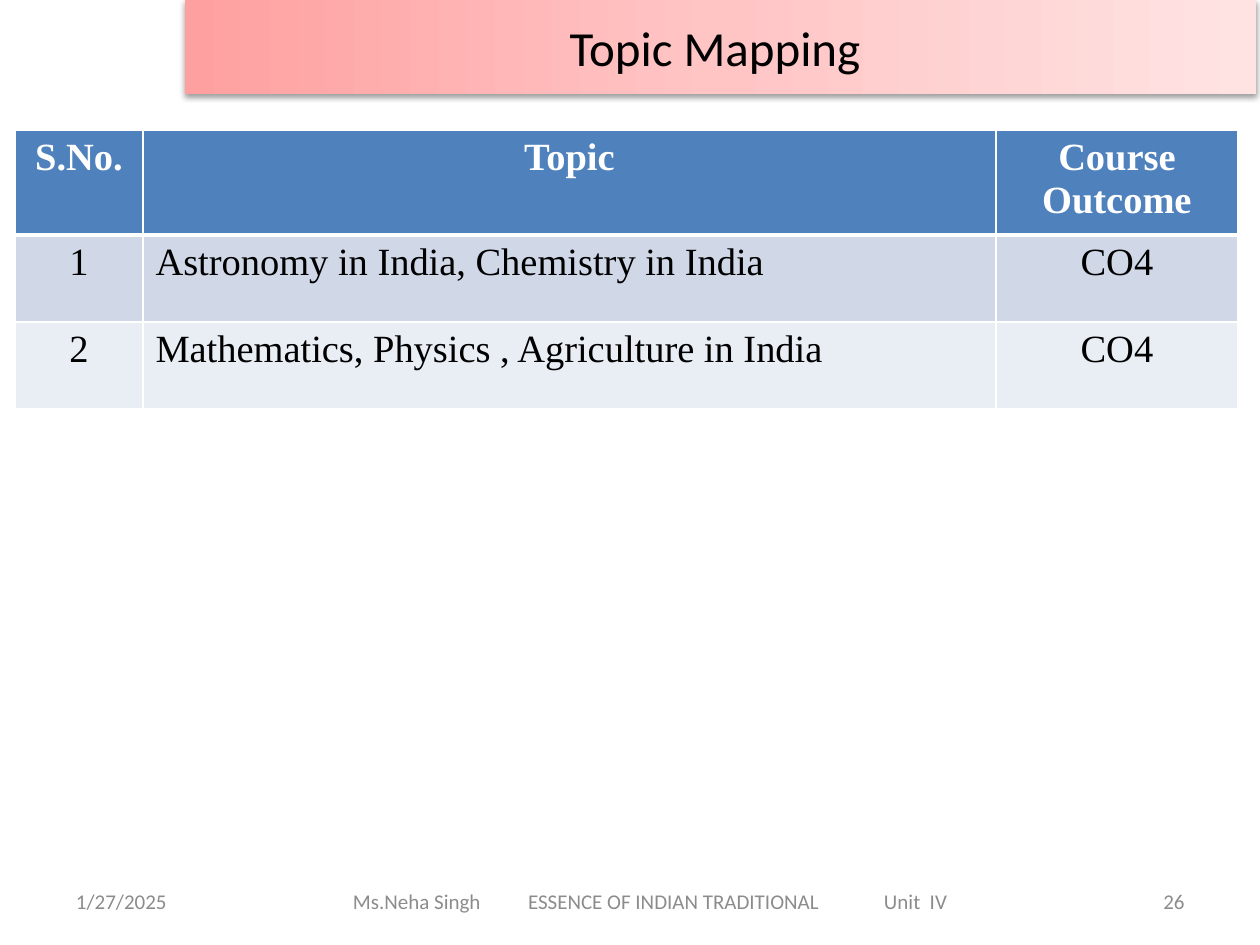
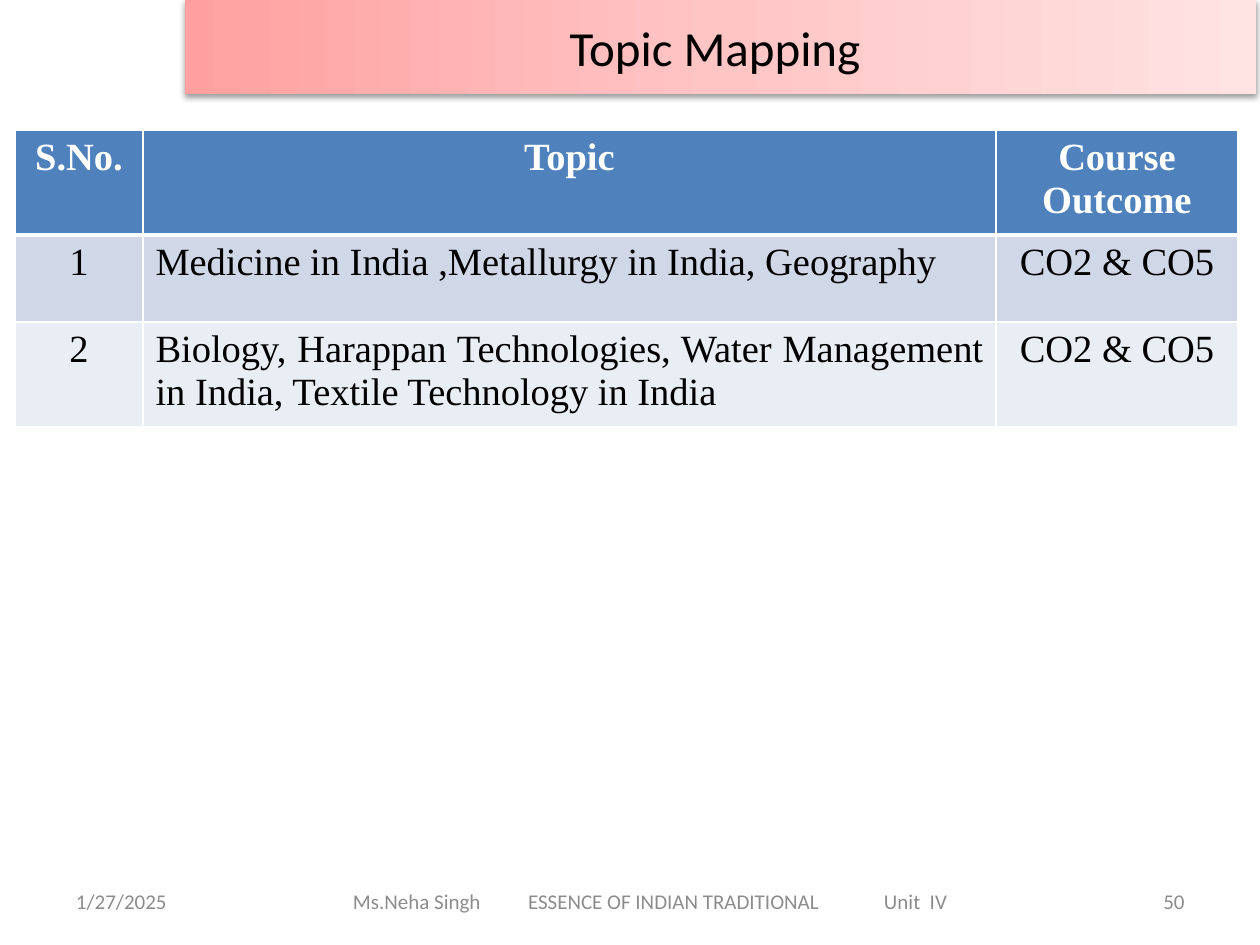
from dataclasses import dataclass

from lxml import etree
from pptx import Presentation, util as u
from pptx.dml.color import RGBColor
from pptx.enum import text
from pptx.oxml import parse_xml
from pptx.oxml.ns import nsdecls, qn


@dataclass
class Theme:
    heading_font: str = "Calibri"
    table_font: str = "Times New Roman"
    title_size: int = 28
    table_size: int = 22
    footer_size: int = 12
    ink: str = "000000"
    white: str = "FFFFFF"
    footer_grey: str = "8C8C8C"
    header_blue: str = "4F81BD"
    row_fills: tuple = ("D0D8E8", "E9EDF4")
    banner_stops: tuple = ((0, "FFA0A0"), (50, "FFC5C5"), (100, "FFE3E3"))


theme = Theme()
ALIGN = text.PP_ALIGN
MIDDLE = text.MSO_ANCHOR.MIDDLE


def px(length):
    return u.Emu(round(length * 914400 / 126))


def write(frame, words, font, size, color, align, bold=False, tabs=()):
    para = frame.paragraphs[0]
    para.text = words
    para.alignment = align
    if tabs:
        tab_list = etree.SubElement(para._p.get_or_add_pPr(), qn("a:tabLst"))
        for position in tabs:
            etree.SubElement(tab_list, qn("a:tab"), pos=str(px(position)), algn="l")
    span = para.runs[0]
    for name, value in dict(name=font, size=u.Pt(size), bold=bold).items():
        setattr(span.font, name, value)
    span.font.color.rgb = RGBColor.from_string(color)


# Content: page number and topic rows
headers = ("S.No.", "Topic", "Course Outcome")
pages = (
    ("26", (
        ("1", "Astronomy in India, Chemistry in India", "CO4"),
        ("2", "Mathematics, Physics , Agriculture in India", "CO4"),
    )),
    ("50", (
        ("1", "Medicine in India ,Metallurgy in India, Geography", "CO2 & CO5"),
        ("2", "Biology, Harappan Technologies, Water Management in India, "
              "Textile Technology in India ", "CO2 & CO5"),
    )),
)
column_widths = (128, 853, 242)
row_heights = (102, 87, 87)

# Shared footer: left, width, left margin, alignment, tab stops
footer_top, footer_height, inset = 876, 50, 13
footer_line = "Ms.Neha Singh\tESSENCE OF INDIAN TRADITIONAL\tUnit  IV"
footer_places = (
    (63, 294, inset, ALIGN.LEFT, ()),
    (220, 861, 133, ALIGN.LEFT, (175, 531)),
    (903, 294, inset, ALIGN.RIGHT, ()),
)

# Shared banner look
stops = "".join(
    f'<a:gs pos="{position * 1000}"><a:srgbClr val="{color}"/></a:gs>'
    for position, color in theme.banner_stops)
banner_parts = (
    f'<a:prstGeom {nsdecls("a")} prst="rect"><a:avLst/></a:prstGeom>',
    f'<a:gradFill {nsdecls("a")} rotWithShape="1"><a:gsLst>{stops}</a:gsLst>'
    '<a:lin ang="0" scaled="0"/></a:gradFill>',
    f'<a:ln {nsdecls("a")}><a:noFill/></a:ln>',
    f'<a:effectLst {nsdecls("a")}><a:outerShdw blurRad="{u.Pt(3.1)}" dist="{u.Pt(1.6)}" '
    f'dir="5400000" rotWithShape="0"><a:srgbClr val="{theme.ink}">'
    '<a:alpha val="38000"/></a:srgbClr></a:outerShdw></a:effectLst>',
)

deck = Presentation()
deck.slide_width, deck.slide_height = px(1260), px(945)

for number, topics in pages:
    page = deck.slides.add_slide(deck.slide_layouts[5])

    # Footer
    for words, place in zip(("1/27/2025", footer_line, number), footer_places):
        left, width, margin, align, tabs = place
        box = page.shapes.add_textbox(px(left), px(footer_top), px(width), px(footer_height))
        frame = box.text_frame
        frame.word_wrap = True
        frame.vertical_anchor = MIDDLE
        frame.margin_left = px(margin)
        write(frame, words, theme.heading_font, theme.footer_size,
              theme.footer_grey, align, tabs=tabs)

    # Title banner
    title = page.shapes.title
    placing = dict(left=px(185), top=px(0), width=px(1071), height=px(94))
    for name, value in placing.items():
        setattr(title, name, value)
    for part in banner_parts:
        title._element.spPr.append(parse_xml(part))
    title.text_frame.auto_size = text.MSO_AUTO_SIZE.NONE
    title.text_frame.vertical_anchor = MIDDLE
    write(title.text_frame, "Topic Mapping ", theme.heading_font,
          theme.title_size, theme.ink, ALIGN.CENTER)

    # Topic table
    table = page.shapes.add_table(
        len(row_heights), len(column_widths), px(15), px(130),
        px(sum(column_widths)), px(sum(row_heights))).table
    for column, width in zip(table.columns, column_widths):
        column.width = px(width)
    for row, height in zip(table.rows, row_heights):
        row.height = px(height)

    for row_index, values in enumerate((headers, *topics)):
        is_header = row_index == 0
        fill = theme.header_blue if is_header else theme.row_fills[row_index - 1]
        borders = dict(lnL=1, lnR=1, lnT=3 if row_index == 1 else 1,
                       lnB=3 if is_header else 1)
        for column_index, words in enumerate(values):
            cell = table.cell(row_index, column_index)
            cell.fill.solid()
            cell.fill.fore_color.rgb = RGBColor.from_string(fill)
            is_topic = column_index == 1 and not is_header
            write(cell.text_frame, words, theme.table_font, theme.table_size,
                  theme.white if is_header else theme.ink,
                  ALIGN.JUSTIFY if is_topic else ALIGN.CENTER, bold=is_header)
            for order, (side, points) in enumerate(borders.items()):
                cell._tc.get_or_add_tcPr().insert(order, parse_xml(
                    f'<a:{side} {nsdecls("a")} w="{u.Pt(points)}"><a:solidFill>'
                    f'<a:srgbClr val="{theme.white}"/></a:solidFill></a:{side}>'))

deck.save("out.pptx")
